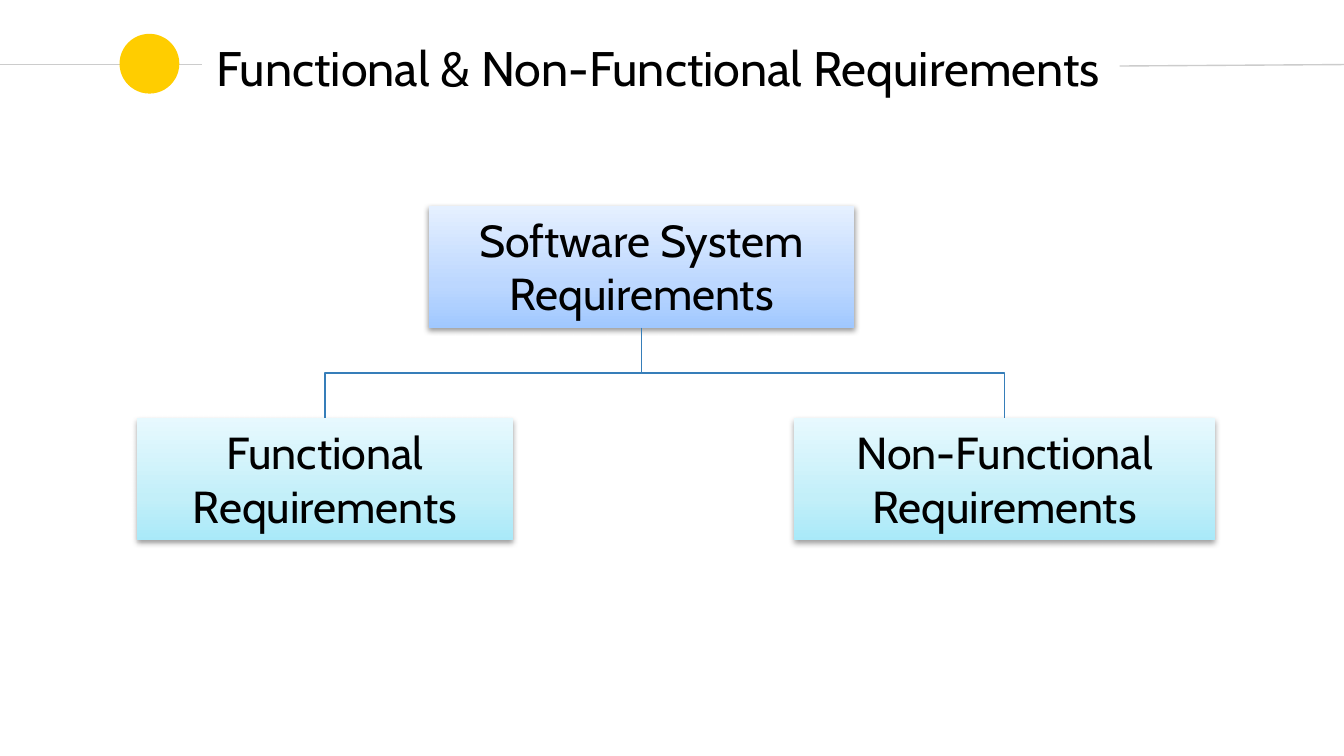
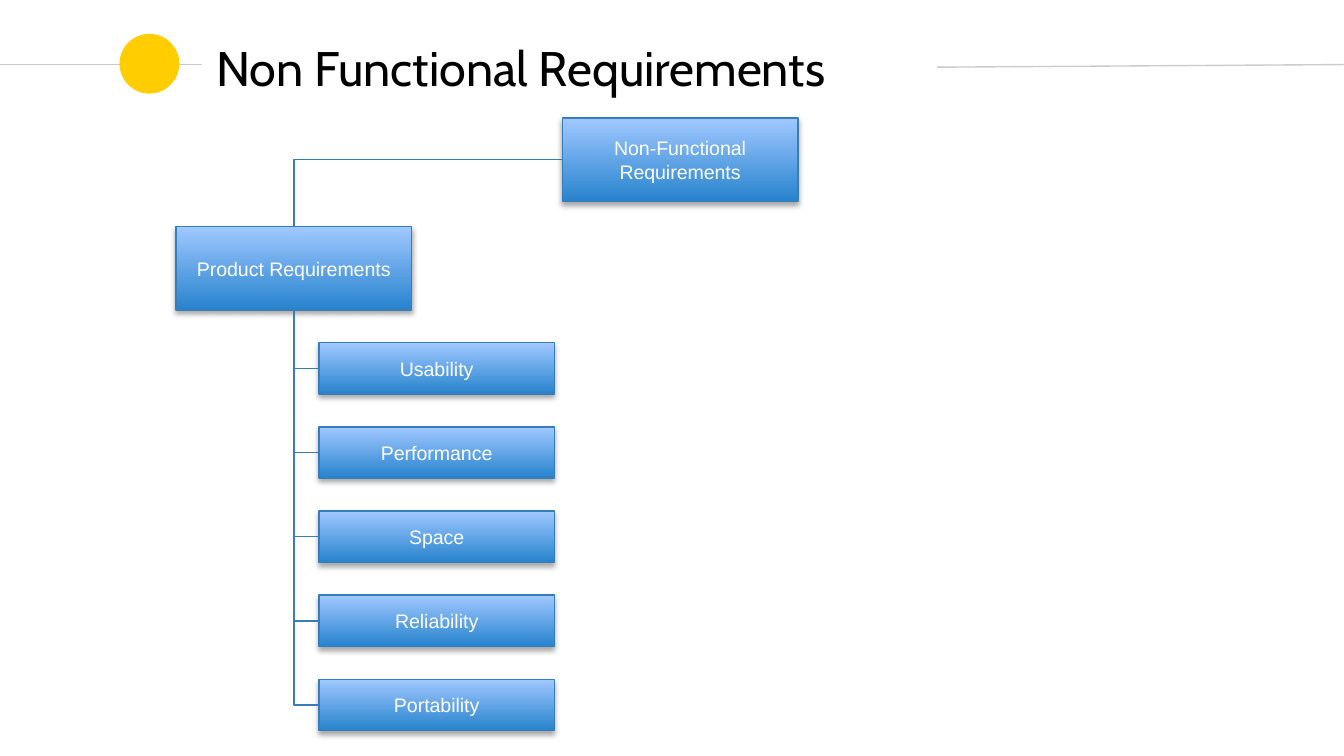
"""Build two slides on functional and non-functional requirements."""
from lxml.etree import SubElement
from pptx import Presentation
from pptx.dml.color import RGBColor
from pptx.enum.shapes import MSO_CONNECTOR, MSO_SHAPE
from pptx.enum.text import MSO_ANCHOR, PP_ALIGN
from pptx.oxml.ns import qn
from pptx.util import Cm, Pt

WIDE, HIGH = 25.4, 14.29
WHITE, BLACK, GREY, GOLD, BLUE = "FFFFFF", "000000", "CCCCCC", "FFCD00", "367EB9"
TOP, LEFT, BOTTOM = 0, 1, 2

PALE = dict(stops=[(0, "A0C8FF"), (35, "BCD7FF"), (100, "E5F0FF")], edge=None,
            dark=38, drop=1.6, font="Cabin", size=24, ink=BLACK, anchor=MSO_ANCHOR.TOP)
AQUA = PALE | dict(stops=[(0, "A9E9F9"), (35, "C3EFF9"), (100, "E7F9FE")])
DEEP = dict(stops=[(0, "2783CD"), (100, "A0C8FF")], edge=BLUE,
            dark=35, drop=1.8, font="Arial", size=10.5, ink=WHITE, anchor=MSO_ANCHOR.MIDDLE)

SYSTEM = ("Software System Requirements", 8.1, 3.89, 8.05, 2.31)
KINDS = [
    ("Functional Requirements", 2.59, 7.9, 7.11, 2.31),
    ("Non-Functional Requirements", 15.01, 7.9, 7.95, 2.31),
]
ROOT = ("Non-Functional Requirements", 10.63, 2.23, 4.45, 1.58)
PRODUCT = ("Product Requirements", 3.33, 4.28, 4.45, 1.58)
TRAITS = ["Usability", "Performance", "Space", "Reliability", "Portability"]
TRAIT_X, TRAIT_Y, TRAIT_W, TRAIT_H, STEP = 6.03, 6.48, 4.45, 0.97, 1.59


def tint(code):
    return RGBColor.from_string(code)


def write(shape, text, font, size, ink, anchor, align):
    frame = shape.text_frame
    frame.word_wrap = True
    frame.vertical_anchor = anchor
    frame.text = text
    para = frame.paragraphs[0]
    para.alignment = align
    face = para.runs[0].font
    face.name, face.size = font, Pt(size)
    face.color.rgb = tint(ink)
    return frame


def shade(shape, stops):
    grad = SubElement(shape._element.spPr, qn("a:gradFill"), rotWithShape="1")
    row = SubElement(grad, qn("a:gsLst"))
    for spot, code in stops:
        stop = SubElement(row, qn("a:gs"), pos=str(spot * 1000))
        SubElement(stop, qn("a:srgbClr"), val=code)
    SubElement(grad, qn("a:lin"), ang="16200000", scaled="0")


def cast(shape, dark, drop):
    shape.shadow.inherit = False
    effect = shape._element.spPr.find(qn("a:effectLst"))
    outer = SubElement(effect, qn("a:outerShdw"), blurRad=str(Pt(3.1)),
                       dist=str(Pt(drop)), dir="5400000", rotWithShape="0")
    color = SubElement(outer, qn("a:srgbClr"), val=BLACK)
    SubElement(color, qn("a:alpha"), val=str(dark * 1000))


def add_box(slide, text, x, y, w, h, look):
    box = slide.shapes.add_shape(MSO_SHAPE.RECTANGLE, Cm(x), Cm(y), Cm(w), Cm(h))
    shade(box, look["stops"])
    if look["edge"]:
        box.line.color.rgb = tint(look["edge"])
        box.line.width = Pt(0.75)
    else:
        box.line.fill.background()
    cast(box, look["dark"], look["drop"])
    write(box, text, look["font"], look["size"], look["ink"], look["anchor"], PP_ALIGN.CENTER)
    return box


def add_line(slide, kind, ends, code):
    line = slide.shapes.add_connector(kind, *[Cm(n) for n in ends])
    line.line.color.rgb = tint(code)
    line.line.width = Pt(0.75)
    SubElement(line._element.spPr, qn("a:effectLst"))
    return line


def link(slide, start, out, end, into, bends):
    line = add_line(slide, MSO_CONNECTOR.ELBOW, (0, 0, 0, 0), BLUE)
    line.begin_connect(start, out)
    line.end_connect(end, into)
    props = line._element.spPr
    props.find(qn("a:prstGeom")).set("prst", f"bentConnector{bends + 1}")
    if out == BOTTOM:
        right = line.end_x > line.begin_x
        x, y, w, h = line.left, line.top, line.width, line.height
        line.left, line.top = x + (w - h) // 2, y + (h - w) // 2
        line.width, line.height = h, w
        form = props.find(qn("a:xfrm"))
        form.set("rot", "16200000" if right else "5400000")
        form.set("flipH", "1" if right else "0")
        form.set("flipV", "0")


def add_slide(deck, title, width):
    slide = deck.slides.add_slide(deck.slide_layouts[6])
    slide.background.fill.solid()
    slide.background.fill.fore_color.rgb = tint(WHITE)
    add_line(slide, MSO_CONNECTOR.STRAIGHT, (0, 1.22, 3.81, 1.22), GREY)
    dot = slide.shapes.add_shape(MSO_SHAPE.OVAL, Cm(2.26), Cm(0.64), Cm(1.13), Cm(1.13))
    dot.shadow.inherit = False
    dot.fill.solid()
    dot.fill.fore_color.rgb = tint(GOLD)
    dot.line.fill.background()
    add_line(slide, MSO_CONNECTOR.STRAIGHT, (17.7, 1.27, WIDE, 1.22), GREY)
    head = slide.shapes.add_textbox(Cm(3.84), Cm(0.66), Cm(width), Cm(1.22))
    head.fill.solid()
    head.fill.fore_color.rgb = tint(WHITE)
    frame = write(head, title, "Cabin", 26, BLACK, MSO_ANCHOR.MIDDLE, PP_ALIGN.LEFT)
    frame.margin_top = frame.margin_bottom = Cm(0.25)
    return slide


def add_split(deck):
    slide = add_slide(deck, "Functional & Non-Functional Requirements", 17.32)
    system = add_box(slide, *SYSTEM, PALE)
    for kind in KINDS:
        link(slide, system, BOTTOM, add_box(slide, *kind, AQUA), TOP, 2)


def add_tree(deck):
    slide = add_slide(deck, "Non Functional Requirements", 13.87)
    root = add_box(slide, *ROOT, DEEP)
    product = add_box(slide, *PRODUCT, DEEP)
    link(slide, root, LEFT, product, TOP, 1)
    for i, name in enumerate(TRAITS):
        trait = add_box(slide, name, TRAIT_X, TRAIT_Y + i * STEP, TRAIT_W, TRAIT_H, DEEP)
        link(slide, product, BOTTOM, trait, LEFT, 1)


def main():
    deck = Presentation()
    deck.slide_width, deck.slide_height = Cm(WIDE), Cm(HIGH)
    add_split(deck)
    add_tree(deck)
    deck.save("out.pptx")


if __name__ == "__main__":
    main()
